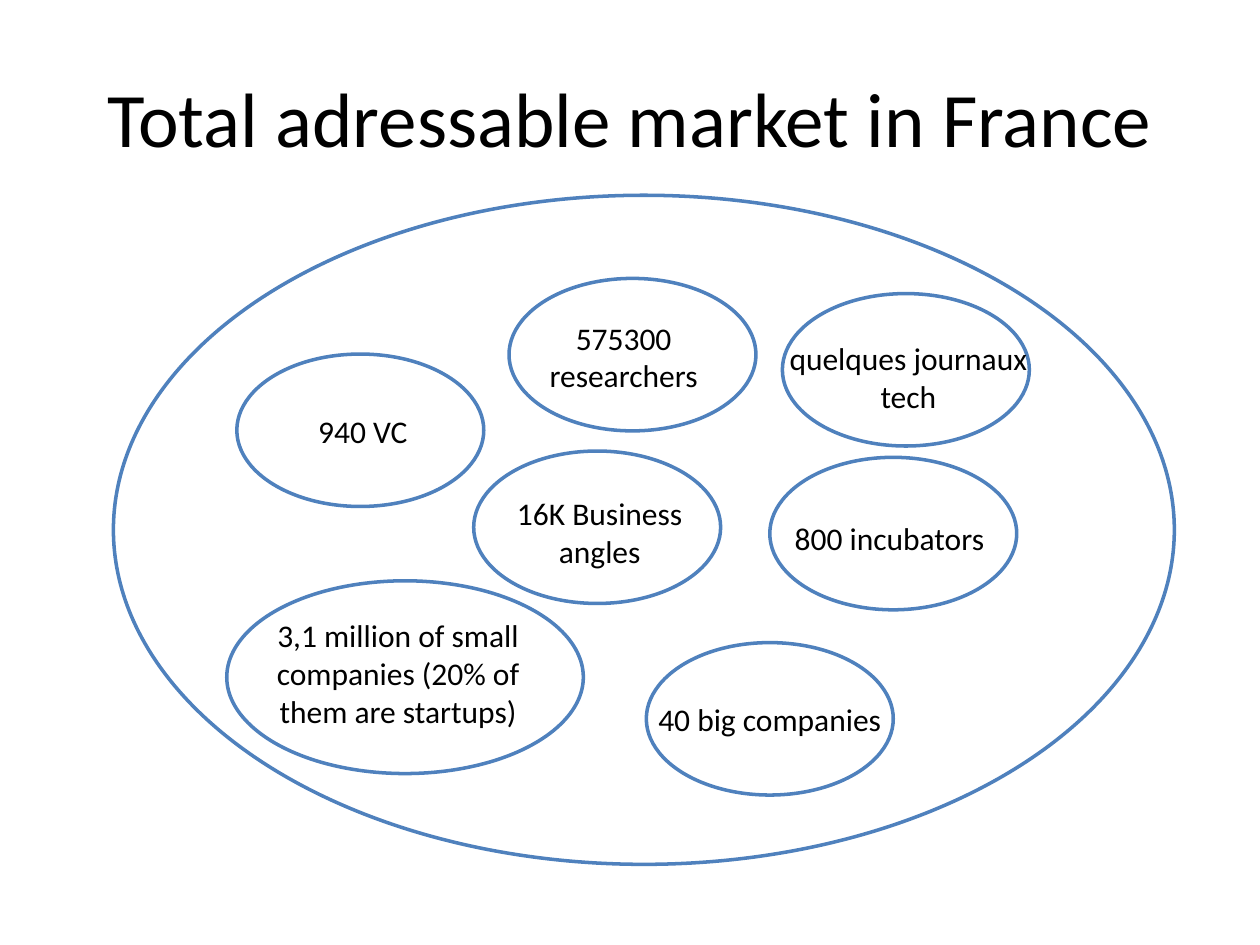
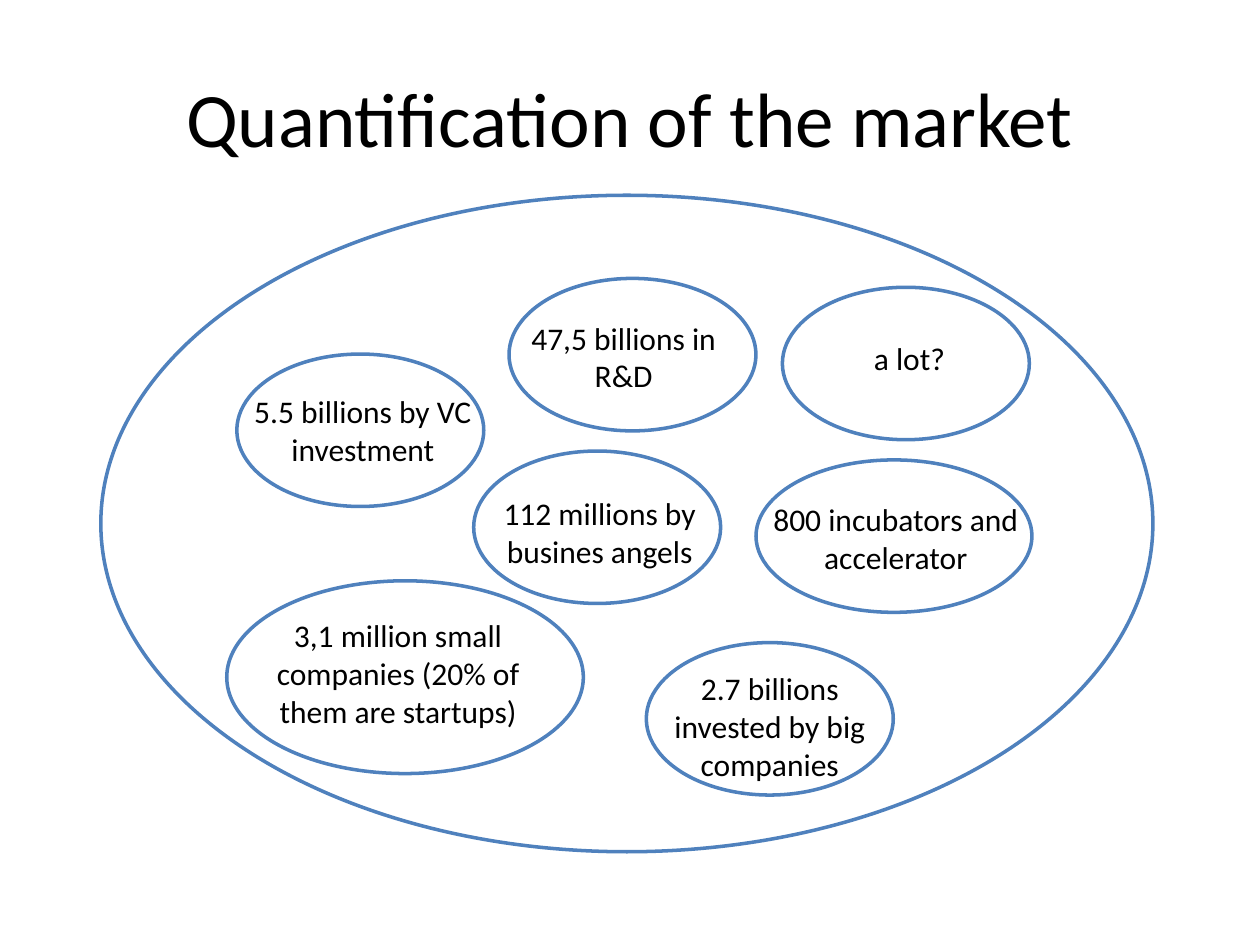
from pptx import Presentation
from pptx.dml.color import RGBColor
from pptx.enum.shapes import MSO_SHAPE
from pptx.enum.text import MSO_ANCHOR, PP_ALIGN
from pptx.util import Inches, Pt

WIDE, HIGH = Inches(10), Inches(7.5)
COLS, ROWS = 100, 75  # square grid cells
FONT, INK, PAPER, EDGE = "Calibri", "000000", "FFFFFF", "4F81BD"
BUBBLE = (19.6, 12.1)  # usual size of a bubble
LABEL = 21.6  # width of every label
HEIGHTS = {1: 4, 2: 7.1, 3: 10.1}  # label height by lines of text

# Each group: bubble left and top, bubble size, label left and top
SEATS = {
    "vc": (18.8, 28.1, BUBBLE, 18, 32.2),
    "small": (18, 46.1, (28.3, 15.3), 20.8, 48.4),
    "research": (40.4, 22.1, BUBBLE, 38.7, 24.8),
    "hubs": (61.1, 36.3, BUBBLE, 59.8, 40.7),
    "big": (51.3, 51, BUBBLE, 50.3, 55.1),
    "angels": (37.6, 35.8, BUBBLE, 36.8, 38.7),
    "press": (62.1, 23.3, BUBBLE, 61.3, 26.4),
}
MOVED = {  # seats that differ on the second slide
    "vc": (18.8, 28.1, BUBBLE, 18, 30.6),
    "hubs": (60, 36.5, (21.9, 12.1), 60.3, 39.2),
    "big": (51.3, 51, BUBBLE, 50.3, 52.6),
    "press": (62.1, 22.8, BUBBLE, 61.1, 26.4),
}

# Each group: wording and its number of lines
MARKET = {
    "vc": ("940 VC", 1),
    "small": ("3,1 million of small companies (20% of them are startups)", 3),
    "research": ("575300 researchers", 2),
    "hubs": ("800 incubators", 1),
    "big": ("40 big companies", 1),
    "angels": ("16K Business angles", 2),
    "press": ("quelques journaux tech", 2),
}
MONEY = {
    "vc": ("5.5 billions by VC investment", 2),
    "small": ("3,1 million small companies (20% of them are startups)", 3),
    "research": ("47,5 billions in R&D", 2),
    "hubs": ("800 incubators and accelerator", 2),
    "big": ("2.7 billions invested by big companies", 3),
    "angels": ("112 millions by busines angels", 2),
    "press": (" a lot?", 1),
}


def paint(part, shade):
    """Give a fill or font colour a hex shade."""
    part.rgb = RGBColor.from_string(shade)


def place(left, top, wide, high):
    """Turn grid columns and rows into slide lengths."""
    return (round(WIDE * left / COLS), round(HIGH * top / ROWS),
            round(WIDE * wide / COLS), round(HIGH * high / ROWS))


def add_oval(slide, left, top, size):
    """Draw a white ellipse with a blue edge."""
    oval = slide.shapes.add_shape(MSO_SHAPE.OVAL, *place(left, top, *size))
    oval.shadow.inherit = False
    oval.fill.solid()
    paint(oval.fill.fore_color, PAPER)
    paint(oval.line.color, EDGE)
    oval.line.width = Pt(2)


def add_text(slide, text, box, size, anchor=MSO_ANCHOR.TOP):
    """Write one centred paragraph in a grid box."""
    frame = slide.shapes.add_textbox(*place(*box)).text_frame
    frame.word_wrap = True
    frame.vertical_anchor = anchor
    line = frame.paragraphs[0]
    line.text = text
    line.alignment = PP_ALIGN.CENTER
    line.font.name = FONT
    line.font.size = Pt(size)
    paint(line.font.color, INK)


def add_slide(deck, title, field, seats, words):
    """Build a titled slide: one large oval holding labelled bubbles."""
    slide = deck.slides.add_slide(deck.slide_layouts[6])
    add_text(slide, title, (5, 3, 90, 12.5), 44, MSO_ANCHOR.MIDDLE)
    add_oval(slide, *field)
    for name, (left, top, size, label_left, label_top) in seats.items():
        text, lines = words[name]
        add_oval(slide, left, top, size)
        add_text(slide, text,
                 (label_left, label_top, LABEL, HEIGHTS[lines]), 18)


def main():
    """Build and save the deck."""
    deck = Presentation()
    deck.slide_width, deck.slide_height = WIDE, HIGH
    add_slide(deck, "Total adressable market in France",
              (9, 15.5, (84.2, 53.1)), SEATS, MARKET)
    add_slide(deck, "Quantification of the market",
              (8, 15.5, (83.5, 52.1)), {**SEATS, **MOVED}, MONEY)
    deck.save("out.pptx")


main()
